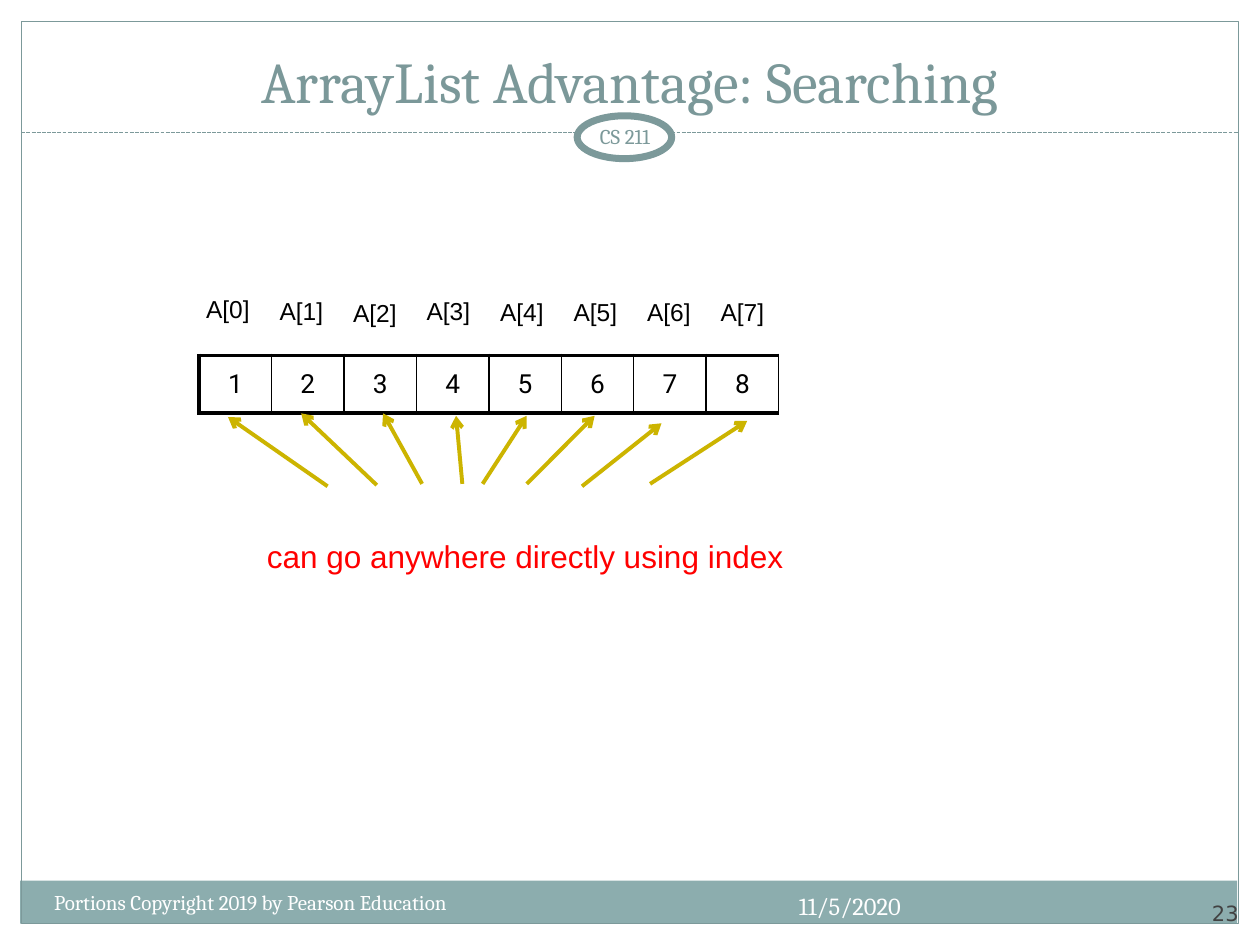
import dataclasses

import pptx
import pptx.dml.color
import pptx.enum.dml
import pptx.enum.shapes
import pptx.enum.text
import pptx.oxml
import pptx.oxml.ns
import pptx.util

Pt = pptx.util.Pt
ALIGN = pptx.enum.text.PP_ALIGN
ANCHOR = pptx.enum.text.MSO_ANCHOR
SHAPE = pptx.enum.shapes.MSO_SHAPE
DRAWING_NS = pptx.oxml.ns.nsdecls("a")


@dataclasses.dataclass(frozen=True)
class Theme:
    frame: str = "7C999A"
    title: str = "7B9899"
    band: str = "8CADAE"
    white: str = "FFFFFF"
    black: str = "000000"
    number: str = "424242"
    arrow: str = "CCB400"
    accent: str = "FF0000"
    title_size: float = 33
    caption_size: float = 18
    cell_size: float = 15
    label_size: float = 14
    small_size: float = 12
    heading_font: str = "Cambria"
    body_font: str = "Arial"
    cell_font: str = "Roboto"
    number_font: str = "DejaVu Sans"


THEME = Theme()

INDEX_TOPS = [164.2, 165.6, 167, 165.6, 166.3, 166.3, 166.3, 166.3]
ARROWS = [
    ((187.2, 277.9), (130.3, 238.3)),
    ((215.3, 277.2), (172.1, 236.2)),
    ((241.2, 276.5), (218.9, 236.2)),
    ((264.2, 276.5), (260.6, 237.6)),
    ((275.8, 276.5), (301, 237.6)),
    ((301, 276.5), (339.8, 237.6)),
    ((332.6, 277.9), (378, 241.9)),
    ((371.5, 276.5), (427, 240.5)),
]


def rgb(color):
    return pptx.dml.color.RGBColor.from_string(color)


def style_paragraph(para, font, size, color, align):
    para.alignment = align
    para.font.name = font
    para.font.size = Pt(size)
    para.font.color.rgb = rgb(color)


def add_text(page, text, bounds, size, color, font=THEME.heading_font,
             align=ALIGN.LEFT, anchor=ANCHOR.TOP, inset=None, wrap=True):
    box = page.shapes.add_textbox(*map(Pt, bounds))
    frame = box.text_frame
    frame.word_wrap = wrap
    frame.vertical_anchor = anchor
    if inset is not None:
        frame.margin_left = frame.margin_right = Pt(inset)
        frame.margin_top = frame.margin_bottom = Pt(inset)
    frame.text = text
    style_paragraph(frame.paragraphs[0], font, size, color, align)


def add_outline(page, kind, bounds, fill=None, line=None, width=0.75):
    shape = page.shapes.add_shape(kind, *map(Pt, bounds))
    shape.shadow.inherit = False
    if fill:
        shape.fill.solid()
        shape.fill.fore_color.rgb = rgb(fill)
    else:
        shape.fill.background()
    if line:
        shape.line.color.rgb = rgb(line)
        shape.line.width = Pt(width)
    else:
        shape.line.fill.background()


def add_line(page, start, end, color, width):
    line = page.shapes.add_connector(
        pptx.enum.shapes.MSO_CONNECTOR.STRAIGHT, *map(Pt, start + end))
    line.line.color.rgb = rgb(color)
    line.line.width = Pt(width)
    line._element.spPr.append(
        pptx.oxml.parse_xml(f"<a:effectLst {DRAWING_NS}/>"))
    return line


def add_arrow(page, start, end):
    arrow = add_line(page, start, end, THEME.arrow, 2.25)
    arrow.line._get_or_add_ln().append(
        pptx.oxml.parse_xml(f'<a:tailEnd {DRAWING_NS} type="arrow"/>'))


def set_borders(cell, widths):
    """Draw the left, right, top and bottom borders, in that order."""
    properties = cell._tc.get_or_add_tcPr()
    for position, (side, width) in enumerate(zip("LRTB", widths)):
        properties.insert(position, pptx.oxml.parse_xml(
            f'<a:ln{side} {DRAWING_NS} w="{Pt(width)}"><a:solidFill>'
            f'<a:srgbClr val="{THEME.black}"/></a:solidFill></a:ln{side}>'))


def add_array(page, values, left, top, cell_width, height):
    table = page.shapes.add_table(
        1, len(values), Pt(left), Pt(top),
        Pt(cell_width * len(values)), Pt(height)).table
    table.first_row = table.horz_banding = False
    table.rows[0].height = Pt(height)
    for index, value in enumerate(values):
        table.columns[index].width = Pt(cell_width)
        cell = table.cell(0, index)
        cell.fill.background()
        cell.vertical_anchor = ANCHOR.MIDDLE
        cell.margin_top = cell.margin_bottom = Pt(3)
        cell.text = str(value)
        style_paragraph(cell.text_frame.paragraphs[0], THEME.cell_font,
                        THEME.cell_size, THEME.black, ALIGN.CENTER)
        set_borders(cell, (1 if index else 2.25, 1, 2.25, 2.25))


def add_page_frame(page):
    add_outline(page, SHAPE.RECTANGLE, (11.5, 503.3, 695.5, 24.5), THEME.band)
    add_outline(page, SHAPE.RECTANGLE, (12.2, 12.2, 695.5, 515.5),
                line=THEME.frame)
    divider = add_line(page, (12.2, 75.6), (707.8, 75.6), THEME.frame, 0.75)
    divider.line.dash_style = pptx.enum.dml.MSO_LINE.SQUARE_DOT
    add_outline(page, SHAPE.OVAL, (329.8, 66.2, 54, 24.5),
                THEME.white, THEME.frame, 4)
    add_text(page, "CS 211", (324, 66.2, 66.2, 23.8), THEME.small_size,
             THEME.frame, align=ALIGN.CENTER, anchor=ANCHOR.MIDDLE, inset=3.6)
    add_text(page, "Portions Copyright 2019 by Pearson Education",
             (23.8, 504.7, 293.8, 28.8), THEME.small_size, THEME.white)
    add_text(page, "11/5/2020", (402.5, 505.4, 119.5, 28.8),
             THEME.label_size, THEME.white, align=ALIGN.RIGHT)
    add_text(page, "23", (648, 500.4, 59.8, 28.8), THEME.small_size,
             THEME.number, THEME.number_font, ALIGN.RIGHT, ANCHOR.BOTTOM, 0)


def main():
    deck = pptx.Presentation()
    deck.slide_width, deck.slide_height = Pt(720), Pt(540)
    page = deck.slides.add_slide(deck.slide_layouts[6])
    add_page_frame(page)
    add_text(page, "ArrayList Advantage: Searching", (23.8, 18, 672, 51.1),
             THEME.title_size, THEME.title, align=ALIGN.CENTER,
             anchor=ANCHOR.BOTTOM)
    for index, top in enumerate(INDEX_TOPS):
        add_text(page, f"A[{index}]", (110.2 + 42 * index, top, 39.6, 24.5),
                 THEME.label_size, THEME.black, THEME.body_font,
                 ALIGN.RIGHT, wrap=False)
    add_array(page, range(1, 9), left=113.8, top=203, cell_width=41.4,
              height=33.1)
    for start, end in ARROWS:
        add_arrow(page, start, end)
    add_text(page, "can go anywhere directly using index",
             (145.4, 303.1, 316.8, 28.8), THEME.caption_size, THEME.accent,
             THEME.body_font)
    deck.save("out.pptx")


if __name__ == "__main__":
    main()
